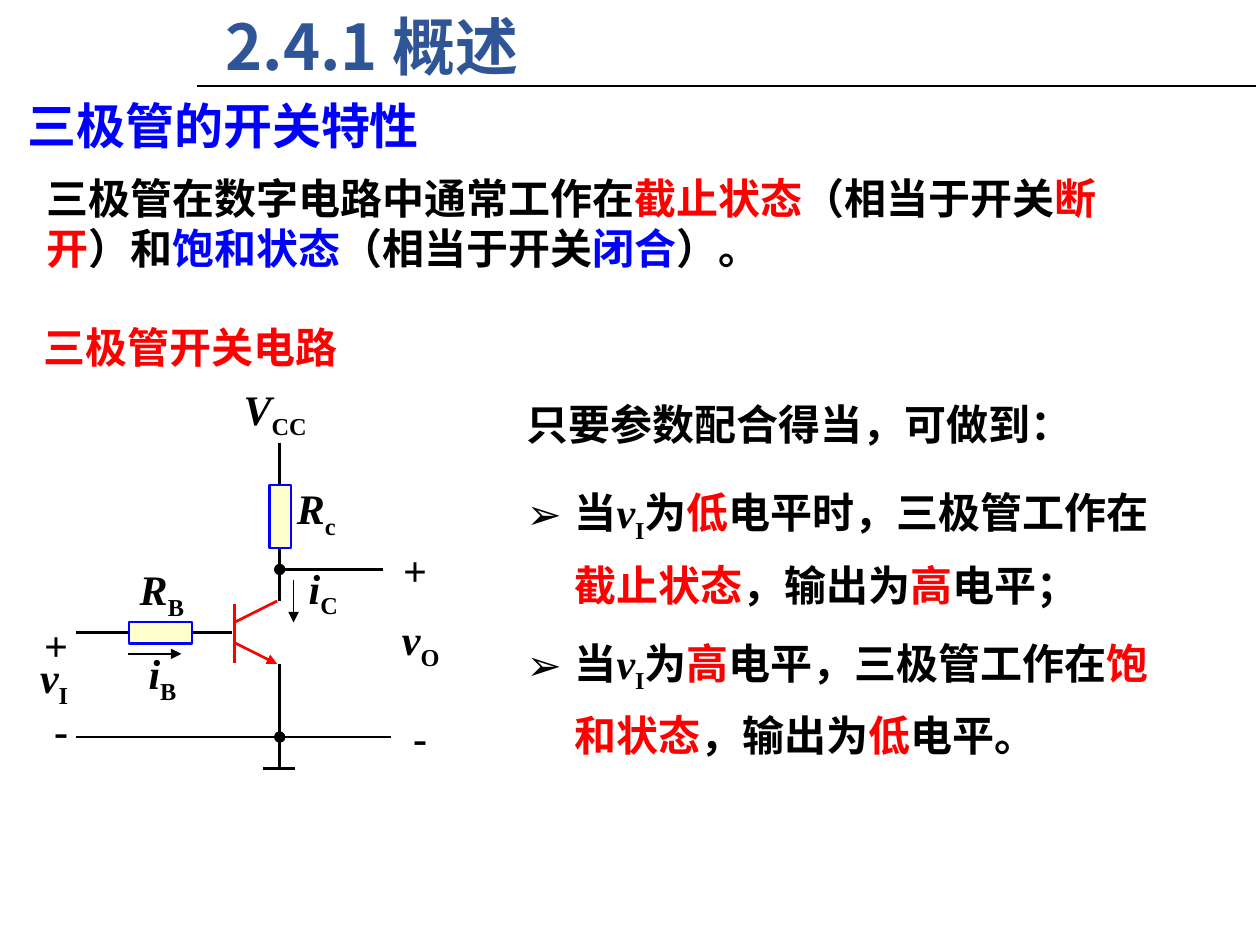
from lxml.etree import SubElement
from pptx import Presentation
from pptx.dml.color import RGBColor
from pptx.enum.shapes import MSO_CONNECTOR, MSO_SHAPE
from pptx.enum.text import MSO_ANCHOR, MSO_AUTO_SIZE, PP_ALIGN
from pptx.oxml.ns import qn
from pptx.util import Inches, Pt

COLORS = {"black": "000000", "red": "FF0000", "blue": "0000FF",
          "title": "2F5597", "resistor": "FFFFCC"}
CHINESE_FONT = "Noto Sans CJK SC"
LATIN_FONT = "Times New Roman"
SUBSCRIPT = "-25000"


def rgb(name):
    return RGBColor.from_string(COLORS[name])


def place(shape, left, top, width, height):
    shape.left, shape.top = Inches(left), Inches(top)
    shape.width, shape.height = Inches(width), Inches(height)


def set_paragraph_font(paragraph, name, size, color="black"):
    font = paragraph.font
    font.name, font.size, font.bold = name, Pt(size), True
    font.color.rgb = rgb(color)
    properties = paragraph._p.get_or_add_pPr().find(qn("a:defRPr"))
    SubElement(properties, qn("a:ea")).set("typeface", name)


def add_colored_runs(paragraph, parts):
    """Each part is plain black text or a (text, color) pair."""
    for part in parts:
        text, color = (part, "black") if isinstance(part, str) else part
        run = paragraph.add_run()
        run.text = text
        if color != "black":
            run.font.color.rgb = rgb(color)


def add_symbol(paragraph, letter, subscript):
    """Italic letter followed by an upright subscript."""
    for text in (letter, subscript):
        run = paragraph.add_run()
        run.text = text
        run.font.name = LATIN_FONT
        run.font.italic = text == letter
    run.font._element.set("baseline", SUBSCRIPT)


def add_text(slide, box, parts, size=24, color="black"):
    shape = slide.shapes.add_textbox(*map(Inches, box))
    shape.text_frame.word_wrap = True
    paragraph = shape.text_frame.paragraphs[0]
    set_paragraph_font(paragraph, CHINESE_FONT, size, color)
    add_colored_runs(paragraph, parts)


def add_label(slide, box, letter, subscript=None):
    shape = slide.shapes.add_textbox(*map(Inches, box))
    frame = shape.text_frame
    frame.word_wrap = False
    frame.vertical_anchor = MSO_ANCHOR.MIDDLE
    paragraph = frame.paragraphs[0]
    paragraph.alignment = PP_ALIGN.CENTER
    set_paragraph_font(paragraph, LATIN_FONT, 24)
    if subscript:
        add_symbol(paragraph, letter, subscript)
    else:
        add_colored_runs(paragraph, [letter])


def add_line(slide, start, end, color="black", width=1.5, arrow=False):
    line = slide.shapes.add_connector(
        MSO_CONNECTOR.STRAIGHT, *map(Inches, (*start, *end)))
    line.line.color.rgb = rgb(color)
    line.line.width = Pt(width)
    if arrow:
        SubElement(line.line._get_or_add_ln(), qn("a:tailEnd")).set("type", "triangle")
    SubElement(line._element.spPr, qn("a:effectLst"))


def add_component(slide, kind, box, fill, outline, width):
    shape = slide.shapes.add_shape(kind, *map(Inches, box))
    shape.shadow.inherit = False
    shape.fill.solid()
    shape.fill.fore_color.rgb = rgb(fill)
    shape.line.color.rgb = rgb(outline)
    shape.line.width = Pt(width)
    return shape


def set_title(slide):
    title = slide.shapes.title
    place(title, 1.69, 0.01, 8.28, 0.71)
    frame = title.text_frame
    frame.text = "2.4.1 概述"
    frame.auto_size = MSO_AUTO_SIZE.NONE
    frame.vertical_anchor = MSO_ANCHOR.TOP
    paragraph = frame.paragraphs[0]
    paragraph.alignment = PP_ALIGN.LEFT
    set_paragraph_font(paragraph, CHINESE_FONT, 36, "title")


def format_body_paragraph(paragraph, space_after, bullet=None):
    paragraph.line_spacing = 1.3
    paragraph.space_before = Pt(0)
    paragraph.space_after = Pt(space_after)
    properties = paragraph._p.get_or_add_pPr()
    indent = Inches(0.38) if bullet else 0
    properties.set("marL", str(indent))
    properties.set("indent", str(-indent))
    if bullet:
        SubElement(properties, qn("a:buChar")).set("char", bullet)
    else:
        SubElement(properties, qn("a:buNone"))
    set_paragraph_font(paragraph, CHINESE_FONT, 24)


def fill_body(slide):
    body = slide.placeholders[1]
    place(body, 4.08, 2.99, 5.28, 2.98)
    frame = body.text_frame
    frame.auto_size = MSO_AUTO_SIZE.NONE
    heading = frame.paragraphs[0]
    format_body_paragraph(heading, 12)
    add_colored_runs(heading, ["只要参数配合得当，可做到："])
    cases = [
        (6, "低", "电平时，三极管工作在", "截止状态", "高", "电平；"),
        (0, "高", "电平，三极管工作在", "饱和状态", "低", "电平。"),
    ]
    for space_after, level, action, state, output, ending in cases:
        paragraph = frame.add_paragraph()
        format_body_paragraph(paragraph, space_after, "➢")
        add_colored_runs(paragraph, ["当"])
        add_symbol(paragraph, "v", "I")
        add_colored_runs(paragraph, ["为", (level, "red"), action, (state, "red"),
                                     "，输出为", (output, "red"), ending])


def draw_circuit(slide):
    # Wires, from supply to ground
    for start, end in [((2.22, 3.52), (2.22, 3.85)), ((2.22, 4.35), (2.22, 4.77)),
                       ((2.22, 5.27), (2.22, 6.1)), ((2.09, 6.1), (2.34, 6.1)),
                       ((0.6, 5.02), (1.02, 5.02)), ((1.51, 5.02), (1.84, 5.02)),
                       ((2.21, 4.52), (3.04, 4.52)), ((0.6, 5.85), (3.1, 5.85))]:
        add_line(slide, start, end)

    # Transistor: base, collector, emitter
    add_line(slide, (1.86, 4.79), (1.86, 5.26), "red")
    add_line(slide, (1.86, 4.94), (2.2, 4.77), "red")
    add_line(slide, (1.86, 5.1), (2.2, 5.27), "red", arrow=True)

    # Resistors and junctions
    for left, top, rotation in [(2.14, 3.85, 0), (1.19, 4.77, 270)]:
        resistor = add_component(slide, MSO_SHAPE.RECTANGLE, (left, top, 0.17, 0.5),
                                 "resistor", "blue", 1.5)
        resistor.rotation = rotation
    for top in (4.48, 5.81):
        add_component(slide, MSO_SHAPE.OVAL, (2.18, top, 0.08, 0.08),
                      "black", "black", 0.75)

    # Current arrows
    add_line(slide, (1.02, 5.19), (1.44, 5.19), width=0.75, arrow=True)
    add_line(slide, (2.33, 4.6), (2.33, 4.94), width=0.75, arrow=True)

    # Labels
    for left, top, width, *symbol in [
            (0, 5.15, 0.86, "v", "I"), (2.91, 4.85, 0.86, "v", "O"),
            (1.77, 3.02, 0.83, "V", "CC"), (2.25, 3.81, 0.52, "R", "c"),
            (1, 4.45, 0.57, "R", "B"), (2.34, 4.44, 0.45, "i", "C"),
            (1.07, 5.12, 0.44, "i", "B"), (0.25, 4.87, 0.39, "+"),
            (0.33, 5.54, 0.31, "-"), (3.1, 4.27, 0.39, "+"), (3.18, 5.6, 0.31, "-")]:
        add_label(slide, (left, top, width, 0.5), *symbol)


def main():
    presentation = Presentation()
    presentation.slide_width, presentation.slide_height = Inches(10), Inches(7.5)
    slide = presentation.slides.add_slide(presentation.slide_layouts[1])

    # Heading and introduction
    set_title(slide)
    add_line(slide, (1.56, 0.68), (9.97, 0.68), width=1.25)
    add_text(slide, (0.12, 0.71, 4.83, 0.57), ["三极管的开关特性"], 28, "blue")
    add_text(slide, (0.27, 1.32, 9.08, 0.91), [
        "三极管在数字电路中通常工作在", ("截止状态", "red"), "（相当于开关",
        ("断开", "red"), "）和", ("饱和状态", "blue"), "（相当于开关",
        ("闭合", "blue"), "）。"])

    # Switching circuit and its behaviour
    add_text(slide, (0.25, 2.5, 3.25, 0.5), ["三极管开关电路"], color="red")
    draw_circuit(slide)
    fill_body(slide)
    presentation.save("out.pptx")


if __name__ == "__main__":
    main()
